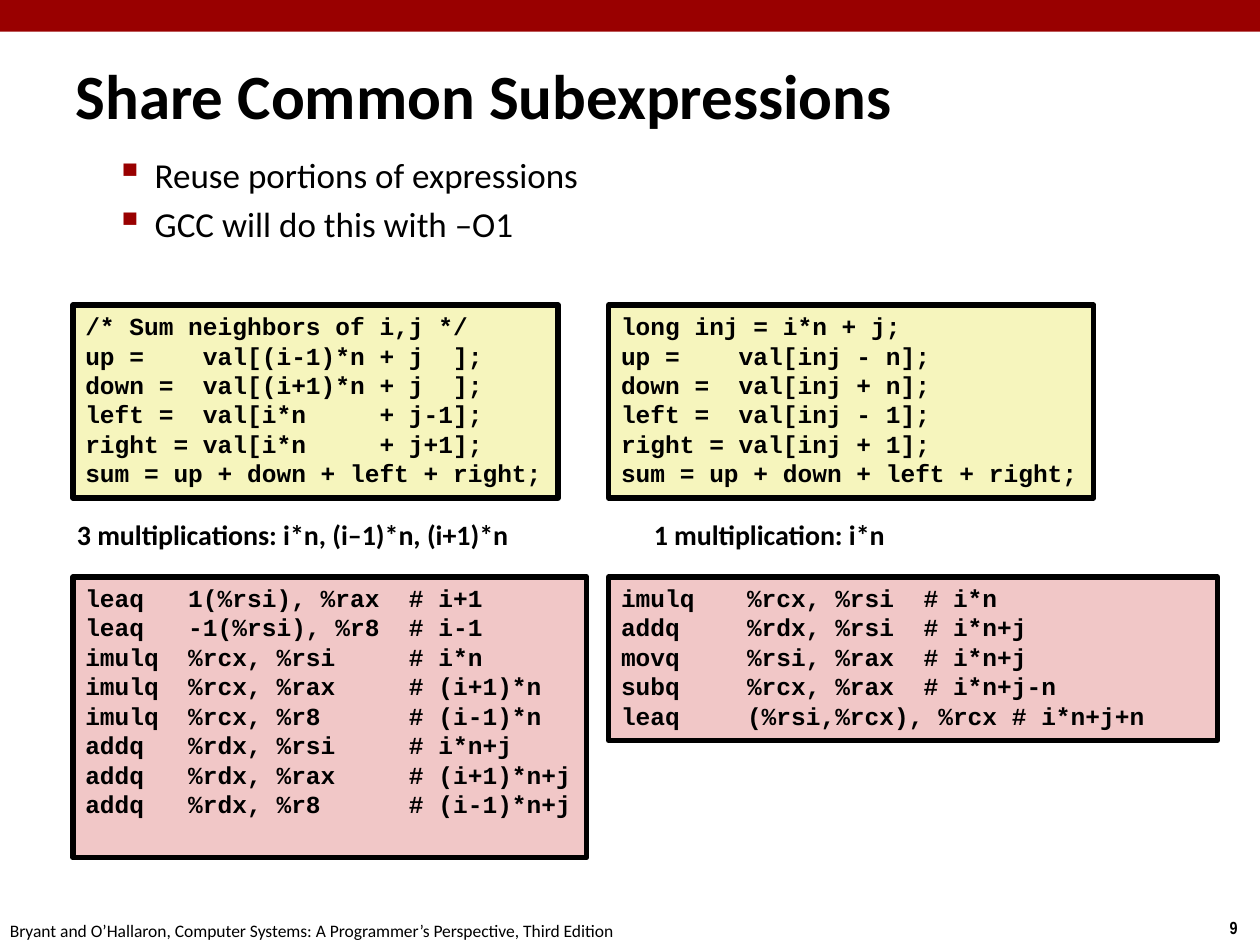
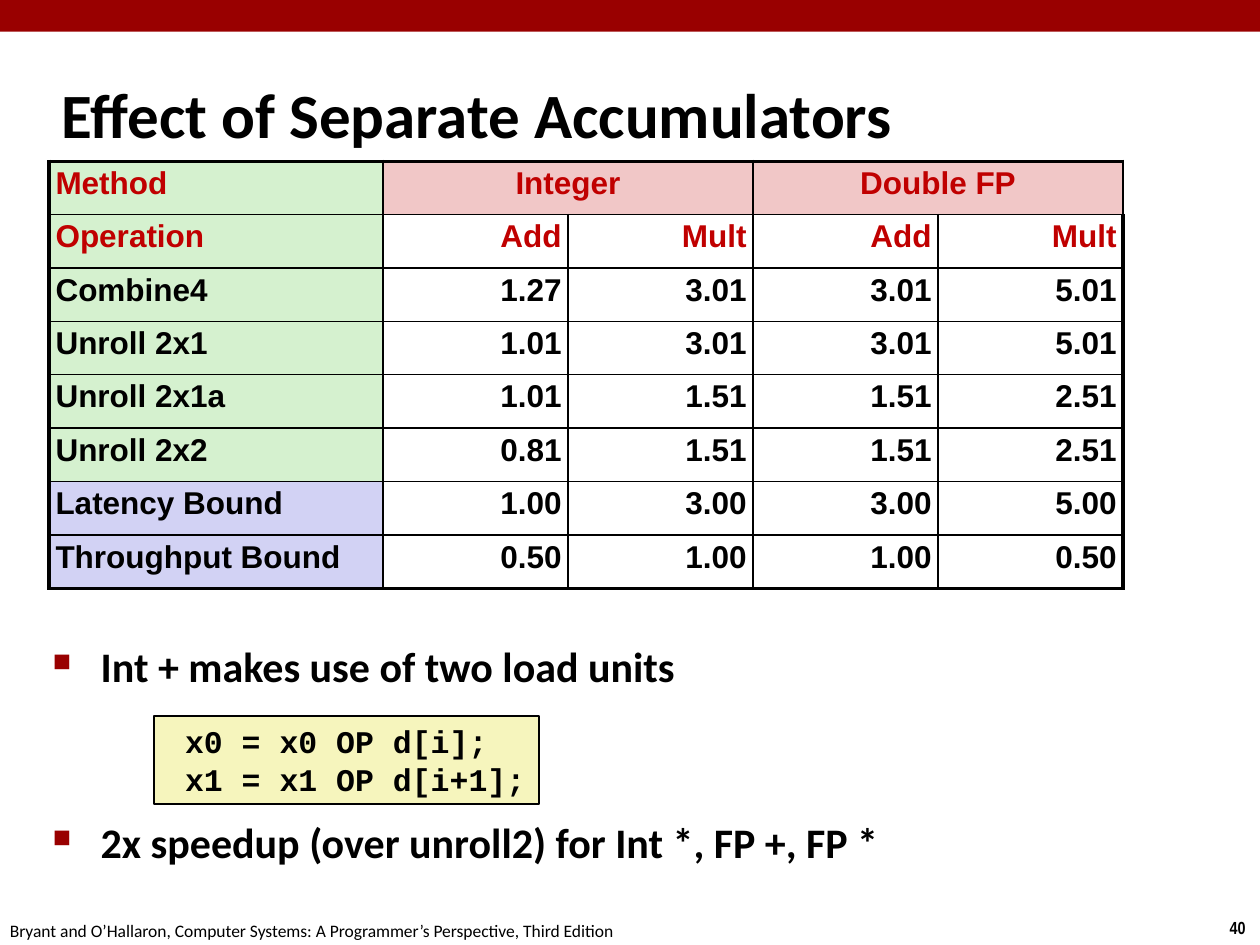
from dataclasses import dataclass

from lxml import etree
from pptx import Presentation
from pptx.dml.color import RGBColor
from pptx.enum.shapes import MSO_SHAPE
from pptx.enum.text import MSO_ANCHOR, MSO_AUTO_SIZE, PP_ALIGN
from pptx.oxml.ns import qn
from pptx.util import Cm, Pt

RECT = MSO_SHAPE.RECTANGLE
TOP, MIDDLE = MSO_ANCHOR.TOP, MSO_ANCHOR.MIDDLE
LEFT, CENTER, RIGHT = PP_ALIGN.LEFT, PP_ALIGN.CENTER, PP_ALIGN.RIGHT
NO_AUTOFIT = MSO_AUTO_SIZE.NONE
TITLE_ONLY = 5
FOOTER = "Bryant and O’Hallaron, Computer Systems: A Programmer’s Perspective, Third Edition"


@dataclass(frozen=True)
class Theme:
    black: str = "000000"
    band: str = "990000"
    heading: str = "C00000"
    yellow: str = "F6F5BD"
    pink: str = "F1C7C7"
    green: str = "D5F1CF"
    lilac: str = "D2D2F4"
    sans: str = "Calibri"
    mono: str = "Courier New"
    table: str = "Arial"
    number: str = "Arial Narrow"
    title_size: int = 36
    caption_size: int = 16
    code_size: int = 14
    cell_size: int = 18
    footer_size: int = 10
    thin: float = 1
    thick: float = 2.25


T = Theme()


@dataclass(frozen=True)
class Box:
    """A rectangle in centimetres."""
    x: float
    y: float
    w: float
    h: float

    def emu(self) -> tuple:
        return Cm(self.x), Cm(self.y), Cm(self.w), Cm(self.h)


@dataclass(frozen=True)
class Code:
    box: Box
    text: str
    fill: str
    size: int = T.code_size
    line: float = 3


@dataclass(frozen=True)
class Bullets:
    box: Box
    items: tuple
    char: str
    char_pct: int
    margin: float
    hang: float
    size: int
    gap: float
    bold: bool = False


# Text helpers
def format_text(tf, font: str, size: float, bold: bool = False, color: str = T.black) -> None:
    for p in tf.paragraphs:
        for r in p.runs:
            r.font.name, r.font.size, r.font.bold = font, Pt(size), bold
            r.font.color.rgb = RGBColor.from_string(color)


def add_label(s, box: Box, text: str, font: str, size: float, bold: bool = False) -> None:
    tf = s.shapes.add_textbox(*box.emu()).text_frame
    tf.word_wrap = True
    tf.margin_right = 0
    tf.text = text
    format_text(tf, font, size, bold)


def add_code(s, code: Code) -> None:
    sp = s.shapes.add_shape(RECT, *code.box.emu())
    sp.shadow.inherit = False
    sp.fill.solid()
    sp.fill.fore_color.rgb = RGBColor.from_string(code.fill)
    sp.line.color.rgb = RGBColor.from_string(T.black)
    sp.line.width = Pt(code.line)
    tf = sp.text_frame
    tf.word_wrap = True
    tf.vertical_anchor = TOP
    tf.margin_right = 0
    tf.text = code.text
    for p in tf.paragraphs:
        p.alignment = LEFT
        p.line_spacing = Pt(1.2 * code.size)
        if "\t" in p.text:
            tabs = etree.SubElement(p._p.get_or_add_pPr(), qn("a:tabLst"))
            etree.SubElement(tabs, qn("a:tab"), pos=str(Cm(2.54)), algn="l")
    format_text(tf, T.mono, code.size, True)


def add_bullets(s, b: Bullets) -> None:
    tf = s.shapes.add_textbox(*b.box.emu()).text_frame
    tf.word_wrap = True
    tf.text = "\n".join(b.items)
    for i, p in enumerate(tf.paragraphs):
        pPr = p._p.get_or_add_pPr()
        pPr.set("marL", str(Cm(b.margin)))
        pPr.set("indent", str(-Cm(b.hang)))
        color = etree.SubElement(pPr, qn("a:buClr"))
        etree.SubElement(color, qn("a:srgbClr"), val=T.band)
        etree.SubElement(pPr, qn("a:buSzPct"), val=str(b.char_pct * 1000))
        etree.SubElement(pPr, qn("a:buChar"), char=b.char)
        if i:
            p.space_before = Pt(b.gap)
    format_text(tf, T.sans, b.size, b.bold)


# Shared slide frame: band, title, footer and page number
def add_slide(prs, title: str, title_box: Box, number: int):
    s = prs.slides.add_slide(prs.slide_layouts[TITLE_ONLY])
    band = s.shapes.add_shape(RECT, 0, 0, prs.slide_width, Cm(0.64))
    band.shadow.inherit = False
    band.fill.solid()
    band.fill.fore_color.rgb = RGBColor.from_string(T.band)
    band.line.fill.background()
    add_label(s, Box(24.54, 18.36, 0.86, 0.69), str(number), T.number, T.footer_size, True)
    add_label(s, Box(-0.05, 18.42, 12.9, 0.69), FOOTER, T.sans, T.footer_size)

    sp = s.shapes.title
    sp.left, sp.top, sp.width, sp.height = title_box.emu()
    tf = sp.text_frame
    tf.text = title
    tf.word_wrap = True
    tf.auto_size = NO_AUTOFIT
    tf.vertical_anchor = MIDDLE
    tf.paragraphs[0].alignment = LEFT
    format_text(tf, T.sans, T.title_size, True)
    return s


# Table
def set_borders(cell, widths: dict) -> None:
    tcPr = cell._tc.get_or_add_tcPr()
    for i, (side, width) in enumerate(widths.items()):
        ln = etree.Element(qn(f"a:ln{side}"), w=str(Pt(width)))
        fill = etree.SubElement(ln, qn("a:solidFill"))
        etree.SubElement(fill, qn("a:srgbClr"), val=T.black)
        tcPr.insert(i, ln)


def cell_fill(row: int, col: int) -> str | None:
    if col == 0:
        return T.lilac if ROWS[row][0].endswith("Bound") else T.green
    return T.pink if row == 0 else None


def add_results(s, box: Box, rows: tuple, widths: tuple) -> None:
    n_rows, n_cols = len(rows), len(widths)
    table = s.shapes.add_table(n_rows, n_cols, *box.emu()).table
    table.first_row = table.horz_banding = False
    for column, width in zip(table.columns, widths):
        column.width = Cm(width)
    for i, row in enumerate(rows):
        table.rows[i].height = Cm(box.h / n_rows)
        for j, text in enumerate(row):
            cell = table.cell(i, j)
            cell.margin_left = cell.margin_right = Cm(0.13)
            cell.margin_top = cell.margin_bottom = Cm(0.13)
            color = cell_fill(i, j)
            if color:
                cell.fill.solid()
                cell.fill.fore_color.rgb = RGBColor.from_string(color)
            else:
                cell.fill.background()
            set_borders(cell, {
                "L": T.thick if j == 0 else T.thin,
                "R": T.thick if j == n_cols - 1 else T.thin,
                "T": T.thick if i == 0 else T.thin,
                "B": T.thick if i == n_rows - 1 else T.thin,
            })
            tf = cell.text_frame
            tf.text = text
            p = tf.paragraphs[0]
            p.line_spacing = 0.95
            p.alignment = LEFT if j == 0 else CENTER if i == 0 else RIGHT
            format_text(tf, T.table, T.cell_size, True, T.heading if i < 2 else T.black)
    for j in range(1, n_cols, 2):
        table.cell(0, j).merge(table.cell(0, j + 1))


# Content
SUM_DIRECT = """/* Sum neighbors of i,j */
up =    val[(i-1)*n + j  ];
down =  val[(i+1)*n + j  ];
left =  val[i*n     + j-1];
right = val[i*n     + j+1];
sum = up + down + left + right;"""
SUM_SHARED = """long inj = i*n + j;
up =    val[inj - n];
down =  val[inj + n];
left =  val[inj - 1];
right = val[inj + 1];
sum = up + down + left + right;"""
ASM_DIRECT = """leaq   1(%rsi), %rax  # i+1
leaq   -1(%rsi), %r8  # i-1
imulq  %rcx, %rsi     # i*n
imulq  %rcx, %rax     # (i+1)*n
imulq  %rcx, %r8      # (i-1)*n
addq   %rdx, %rsi     # i*n+j
addq   %rdx, %rax     # (i+1)*n+j
addq   %rdx, %r8      # (i-1)*n+j"""
ASM_SHARED = """imulq\t%rcx, %rsi  # i*n
addq\t%rdx, %rsi  # i*n+j
movq\t%rsi, %rax  # i*n+j
subq\t%rcx, %rax  # i*n+j-n
leaq\t(%rsi,%rcx), %rcx # i*n+j+n"""
ACCUMULATORS = """ x0 = x0 OP d[i];
 x1 = x1 OP d[i+1];"""
ROWS = (
    ("Method", "Integer", "", "Double FP", ""),
    ("Operation", "Add", "Mult", "Add", "Mult"),
    ("Combine4", "1.27", "3.01", "3.01", "5.01"),
    ("Unroll 2x1", "1.01", "3.01", "3.01", "5.01"),
    ("Unroll 2x1a", "1.01", "1.51", "1.51", "2.51"),
    ("Unroll 2x2", "0.81", "1.51", "1.51", "2.51"),
    ("Latency Bound", "1.00", "3.00", "3.00", "5.00"),
    ("Throughput Bound", "0.50", "1.00", "1.00", "0.50"),
)


def subexpressions_slide(prs) -> None:
    s = add_slide(prs, "Share Common Subexpressions", Box(1.27, 0.43, 23.29, 2.95), 9)
    add_bullets(s, Bullets(Box(0.81, 2.97, 23.09, 14.94),
                           ("Reuse portions of expressions", "GCC will do this with –O1"),
                           "▪", 110, margin=2.06, hang=0.79, size=20, gap=4))
    left, right, source_y, asm_y = 1.47, 12.27, 6.15, 11.63
    for code in (
        Code(Box(left, source_y, 9.78, 3.89), SUM_DIRECT, T.yellow),
        Code(Box(right, source_y, 9.78, 3.89), SUM_SHARED, T.yellow),
        Code(Box(left, asm_y, 10.36, 5.66), ASM_DIRECT, T.pink),
        Code(Box(right, asm_y, 12.27, 3.3), ASM_SHARED, T.pink),
    ):
        add_code(s, code)
    for x, width, caption in ((1.3, 9.32, "3 multiplications: i*n, (i–1)*n, (i+1)*n"),
                              (12.93, 5.23, "1 multiplication: i*n")):
        add_label(s, Box(x, 10.31, width, 0.94), caption, T.sans, T.caption_size, True)


def accumulators_slide(prs) -> None:
    s = add_slide(prs, "Effect of Separate Accumulators", Box(0.99, 1.22, 21.08, 2.11), 40)
    add_bullets(s, Bullets(Box(0.81, 12.78, 23.09, 5.21),
                           ("Int + makes use of two load units",
                            "2x speedup (over unroll2) for Int *, FP +, FP *"),
                           "■", 60, margin=0.97, hang=0.97, size=24, gap=72, bold=True))
    add_code(s, Code(Box(3.1, 14.43, 7.77, 1.78), ACCUMULATORS, T.yellow, size=18, line=1))
    add_results(s, Box(0.99, 3.25, 21.65, 8.61), ROWS, (6.73,) + (3.73,) * 4)


def main() -> None:
    prs = Presentation()
    prs.slide_width, prs.slide_height = Cm(25.4), Cm(19.05)
    subexpressions_slide(prs)
    accumulators_slide(prs)
    prs.save("out.pptx")


if __name__ == "__main__":
    main()
